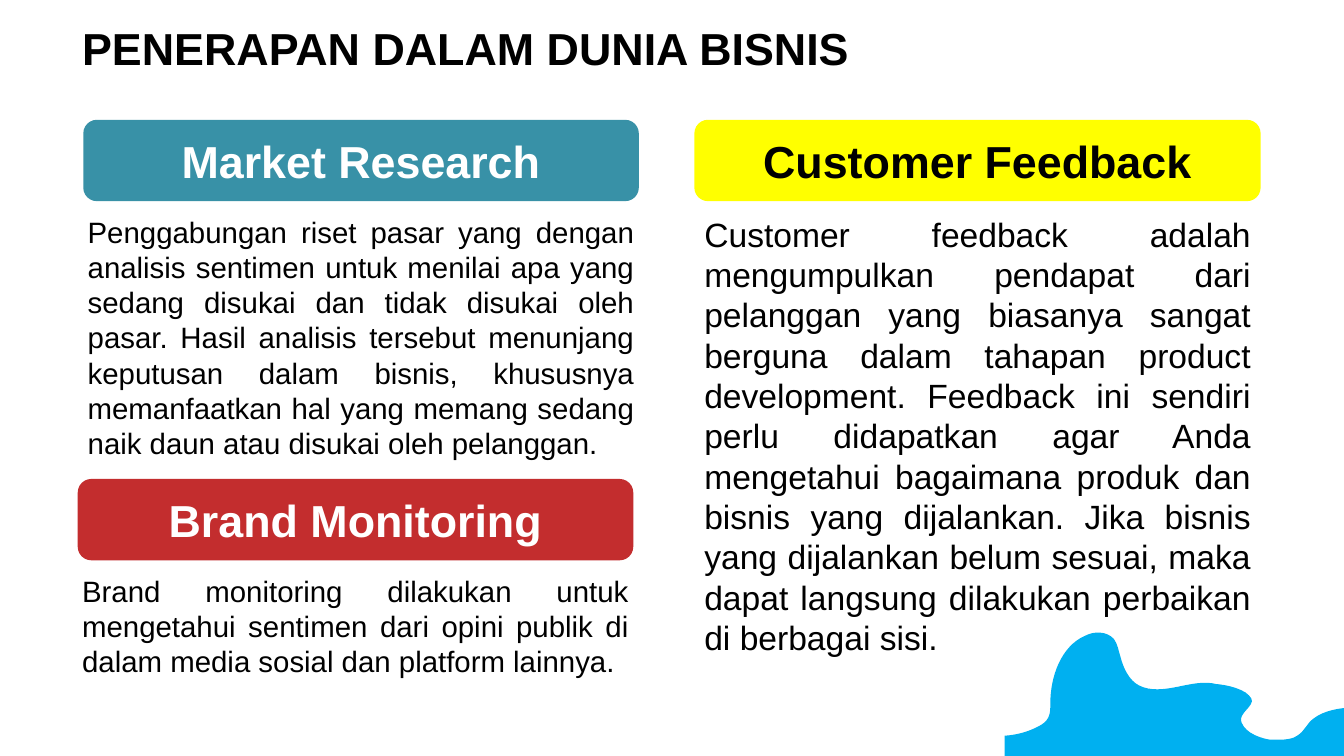
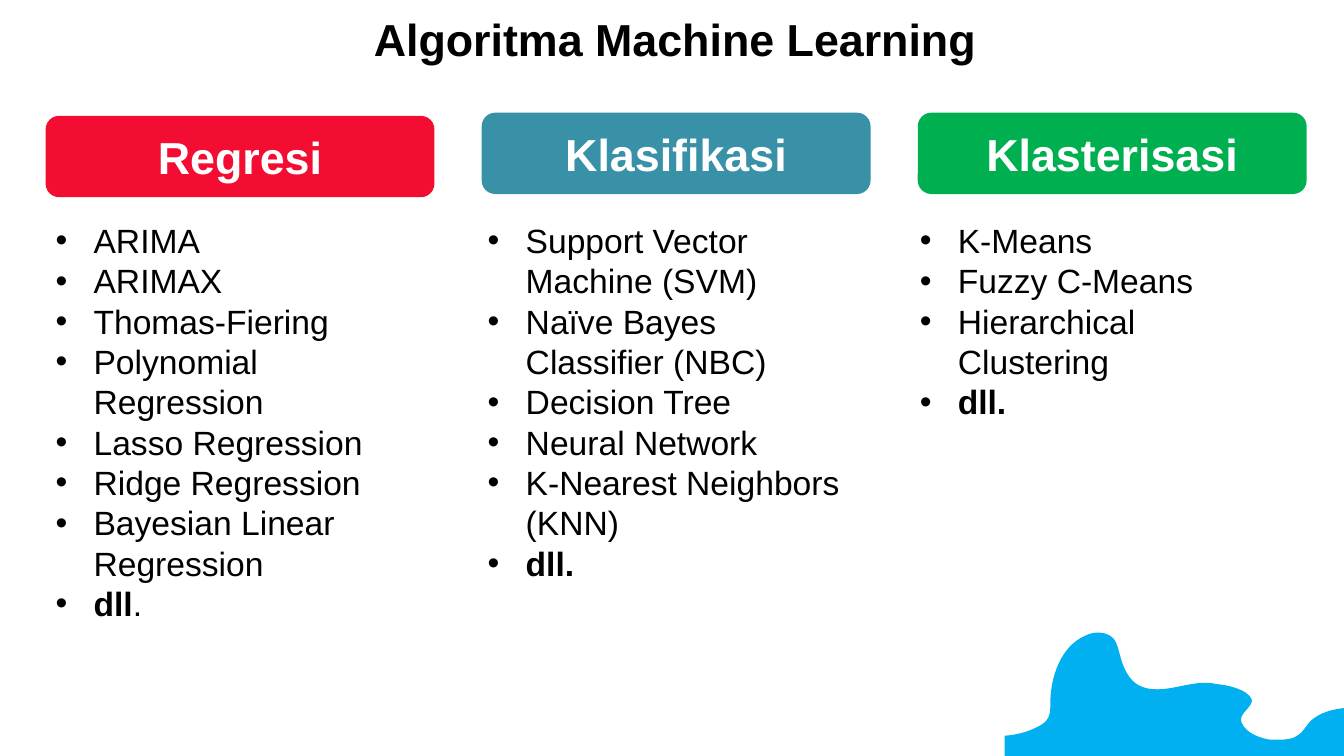
from dataclasses import dataclass

from lxml import etree
from pptx import Presentation
from pptx.dml.color import RGBColor
from pptx.enum.shapes import MSO_SHAPE
from pptx.enum.text import MSO_ANCHOR, MSO_AUTO_SIZE, PP_ALIGN
from pptx.oxml.ns import qn
from pptx.util import Cm, Pt

BANNER = MSO_SHAPE.FLOWCHART_ALTERNATE_PROCESS
MIDDLE = MSO_ANCHOR.MIDDLE
GROW = MSO_AUTO_SIZE.SHAPE_TO_FIT_TEXT
LEFT, CENTER, JUSTIFY = PP_ALIGN.LEFT, PP_ALIGN.CENTER, PP_ALIGN.JUSTIFY


# Theme
@dataclass(frozen=True)
class Theme:
    font: str = "Arial"
    black: str = "000000"
    white: str = "FFFFFF"
    teal: str = "3891A7"
    yellow: str = "FFFF00"
    brick: str = "C32D2E"
    red: str = "F30D33"
    green: str = "00B050"
    wave: str = "00B0F0"
    heading: int = 32
    body: int = 24
    small: int = 21


T = Theme()
SLIDE_W, SLIDE_H = 33.87, 19.05
TITLE_W, TITLE_H = 21.3, 2.1
BANNER_H = 2.05
BULLET_INDENT = 0.96


@dataclass(frozen=True)
class Line:
    text: str
    bold: bool = False
    tail: str = ""


@dataclass(frozen=True)
class Box:
    left: float
    top: float
    width: float
    height: float

    def emu(self) -> tuple:
        return Cm(self.left), Cm(self.top), Cm(self.width), Cm(self.height)


@dataclass(frozen=True)
class Panel:
    heading: str
    fill: str
    banner: Box
    body: Box
    lines: list[Line]
    size: int = T.body
    color: str = T.white
    bullets: bool = False


# Wave in the bottom right corner: cubic curves, then straight corners, in cm
@dataclass(frozen=True)
class Outline:
    start: tuple
    curves: list[tuple]
    corners: list[tuple]


WAVE = [
    Outline((34.29, 19.05), [
        ((34.16, 18.92), (34.09, 18.77), (34.09, 18.62)),
        ((34.09, 18.57), (34.09, 18.52), (34.11, 18.49)),
        ((34.14, 18.44), (34.19, 18.39), (34.26, 18.39)),
        ((34.32, 18.36), (34.39, 18.34), (34.47, 18.34)),
        ((34.54, 18.34), (34.62, 18.34), (34.7, 18.31)),
        ((34.9, 18.26), (34.9, 18.06), (34.75, 17.96)),
        ((34.65, 17.91), (34.54, 17.88), (34.44, 17.86)),
        ((34.34, 17.86), (34.24, 17.83), (34.14, 17.83)),
        ((33.76, 17.83), (33.35, 17.91), (33.1, 18.11)),
        ((32.92, 18.24), (32.89, 18.42), (32.69, 18.54)),
        ((32.59, 18.62), (32.41, 18.64), (32.23, 18.64)),
        ((32.18, 18.64), (32.16, 18.64), (32.11, 18.64)),
        ((32.03, 18.64), (31.95, 18.64), (31.9, 18.62)),
        ((31.7, 18.57), (31.52, 18.49), (31.42, 18.39)),
        ((31.37, 18.34), (31.32, 18.29), (31.29, 18.21)),
        ((31.22, 18.03), (31.42, 17.91), (31.52, 17.75)),
        ((31.6, 17.65), (31.52, 17.55), (31.39, 17.45)),
        ((31.09, 17.27), (30.68, 17.22), (30.28, 17.22)),
        ((30.2, 17.22), (30.15, 17.25), (30.07, 17.25)),
    ], [(30.07, SLIDE_H)]),
    Outline((30.91, 17.35), [
        ((30.78, 17.3), (30.68, 17.25), (30.56, 17.22)),
        ((30.1, 17.15), (29.64, 17.37), (29.16, 17.37)),
        ((29.01, 17.37), (28.85, 17.35), (28.7, 17.27)),
        ((28.47, 17.15), (28.32, 16.87), (28.24, 16.56)),
        ((28.19, 16.41), (28.17, 16.23), (28.07, 16.1)),
        ((27.89, 15.9), (27.56, 15.9), (27.33, 16.03)),
        ((27.05, 16.15), (26.82, 16.41), (26.67, 16.74)),
        ((26.54, 17.04), (26.47, 17.37), (26.47, 17.73)),
        ((26.47, 17.86), (26.47, 17.98), (26.42, 18.08)),
        ((26.37, 18.19), (26.26, 18.26), (26.16, 18.31)),
        ((25.91, 18.44), (25.63, 18.52), (25.32, 18.54)),
    ], [(25.32, SLIDE_H), (30.91, SLIDE_H)]),
]


# Drawing helpers
def style_run(r, size: int, color: str, bold: bool) -> None:
    r.font.name = T.font
    r.font.size = Pt(size)
    r.font.bold = bold
    r.font.color.rgb = RGBColor.from_string(color)


def paint(sp, color: str) -> None:
    sp.shadow.inherit = False
    sp.fill.solid()
    sp.fill.fore_color.rgb = RGBColor.from_string(color)
    sp.line.fill.background()


def add_bullet(p) -> None:
    pPr = p._p.get_or_add_pPr()
    pPr.set("marL", str(Cm(BULLET_INDENT)))
    pPr.set("indent", str(-Cm(BULLET_INDENT)))
    etree.SubElement(pPr, qn("a:buFont")).set("typeface", T.font)
    etree.SubElement(pPr, qn("a:buChar")).set("char", "•")


def add_title(s, text: str, left: float, top: float) -> None:
    tf = s.shapes.add_textbox(*Box(left, top, TITLE_W, TITLE_H).emu()).text_frame
    tf.word_wrap = True
    tf.vertical_anchor = MIDDLE
    tf.text = text
    p = tf.paragraphs[0]
    p.line_spacing = 0.9
    style_run(p.runs[0], T.heading, T.black, True)


def add_panel(s, panel: Panel) -> None:
    # Coloured banner
    sp = s.shapes.add_shape(BANNER, *panel.banner.emu())
    paint(sp, panel.fill)
    tf = sp.text_frame
    tf.vertical_anchor = MIDDLE
    tf.text = panel.heading
    p = tf.paragraphs[0]
    p.alignment = CENTER
    style_run(p.runs[0], T.heading, panel.color, True)

    # Body text
    tf = s.shapes.add_textbox(*panel.body.emu()).text_frame
    tf.word_wrap = True
    tf.auto_size = GROW
    for i, line in enumerate(panel.lines):
        p = tf.add_paragraph() if i else tf.paragraphs[0]
        p.text = line.text
        p.alignment = LEFT if panel.bullets else JUSTIFY
        if panel.bullets:
            add_bullet(p)
        style_run(p.runs[0], panel.size, T.black, line.bold)
        if line.tail:
            r = p.add_run()
            r.text = line.tail
            style_run(r, panel.size, T.black, False)


def add_wave(s) -> None:
    group = s.shapes.add_group_shape()
    for outline in WAVE:
        points = [pt for curve in outline.curves for pt in curve] + outline.corners
        builder = group.shapes.build_freeform(*map(Cm, outline.start))
        builder.add_line_segments([(Cm(x), Cm(y)) for x, y in points], close=True)
        sp = builder.convert_to_shape()
        paint(sp, T.wave)
        # Turn every three segments of the curved part into one cubic curve
        segments = list(sp._element.iter(qn("a:lnTo")))
        for i in range(0, 3 * len(outline.curves), 3):
            first, *others = segments[i:i + 3]
            first.tag = qn("a:cubicBezTo")
            for segment in others:
                first.append(segment[0])
                segment.getparent().remove(segment)


def add_content_slide(prs, title: str, left: float, top: float,
                      panels: list[Panel]) -> None:
    s = prs.slides.add_slide(prs.slide_layouts[6])
    add_wave(s)
    add_title(s, title, left, top)
    for panel in panels:
        add_panel(s, panel)


# Slide content
def business_panel(heading: str, fill: str, left: float, top: float, width: float,
                   inset: float, height: float, text: str, size: int = T.small,
                   color: str = T.white) -> Panel:
    return Panel(heading, fill, Box(left, top, width, BANNER_H),
                 Box(left - inset, top + 2.24, 14.27, height),
                 [Line(text)], size, color)


def algorithm_panel(column: int, heading: str, fill: str, top: float,
                    height: float, names: list[str], last: Line) -> Panel:
    return Panel(heading, fill, Box(1.15 + column * 10.99, top, 9.8, BANNER_H),
                 Box(1.15 + column * 10.89, 5.42, 9.8, height),
                 [*map(Line, names), last], bullets=True)


BUSINESS = [
    business_panel(
        "Market Research", T.teal, 2.1, 3.02, 14, 0.14, 6.53,
        "Penggabungan riset pasar yang dengan analisis sentimen untuk menilai apa "
        "yang sedang disukai dan tidak disukai oleh pasar. Hasil analisis tersebut "
        "menunjang keputusan dalam bisnis, khususnya memanfaatkan hal yang memang "
        "sedang naik daun atau disukai oleh pelanggan."),
    business_panel(
        "Customer Feedback", T.yellow, 17.5, 3.02, 14.27, 0, 11.53,
        "Customer feedback adalah mengumpulkan pendapat dari pelanggan yang biasanya "
        "sangat berguna dalam tahapan product development. Feedback ini sendiri perlu "
        "didapatkan agar Anda mengetahui bagaimana produk dan bisnis yang dijalankan. "
        "Jika bisnis yang dijalankan belum sesuai, maka dapat langsung dilakukan "
        "perbaikan di berbagai sisi.", T.body, T.black),
    business_panel(
        "Brand Monitoring", T.brick, 1.96, 12.07, 14, 0.14, 2.95,
        "Brand monitoring dilakukan untuk mengetahui sentimen dari opini publik di "
        "dalam media sosial dan platform lainnya."),
]

ALGORITHMS = [
    algorithm_panel(
        0, "Regresi", T.red, 2.92, 10.52,
        ["ARIMA", "ARIMAX", "Thomas-Fiering", "Polynomial Regression",
         "Lasso Regression", "Ridge Regression", "Bayesian Linear Regression"],
        Line("dll", True, ".")),
    algorithm_panel(
        1, "Klasifikasi", T.teal, 2.84, 9.5,
        ["Support Vector Machine (SVM)", "Naïve Bayes Classifier (NBC)",
         "Decision Tree", "Neural Network", "K-Nearest Neighbors (KNN)"],
        Line("dll.", True)),
    algorithm_panel(
        2, "Klasterisasi", T.green, 2.84, 5.38,
        ["K-Means", "Fuzzy C-Means", "Hierarchical Clustering"],
        Line("dll.", True)),
]


def main() -> None:
    prs = Presentation()
    prs.slide_width, prs.slide_height = Cm(SLIDE_W), Cm(SLIDE_H)
    add_content_slide(prs, "PENERAPAN DALAM DUNIA BISNIS", 1.82, 0.24, BUSINESS)
    add_content_slide(prs, "Algoritma Machine Learning", 9.17, 0, ALGORITHMS)
    prs.save("out.pptx")


if __name__ == "__main__":
    main()
